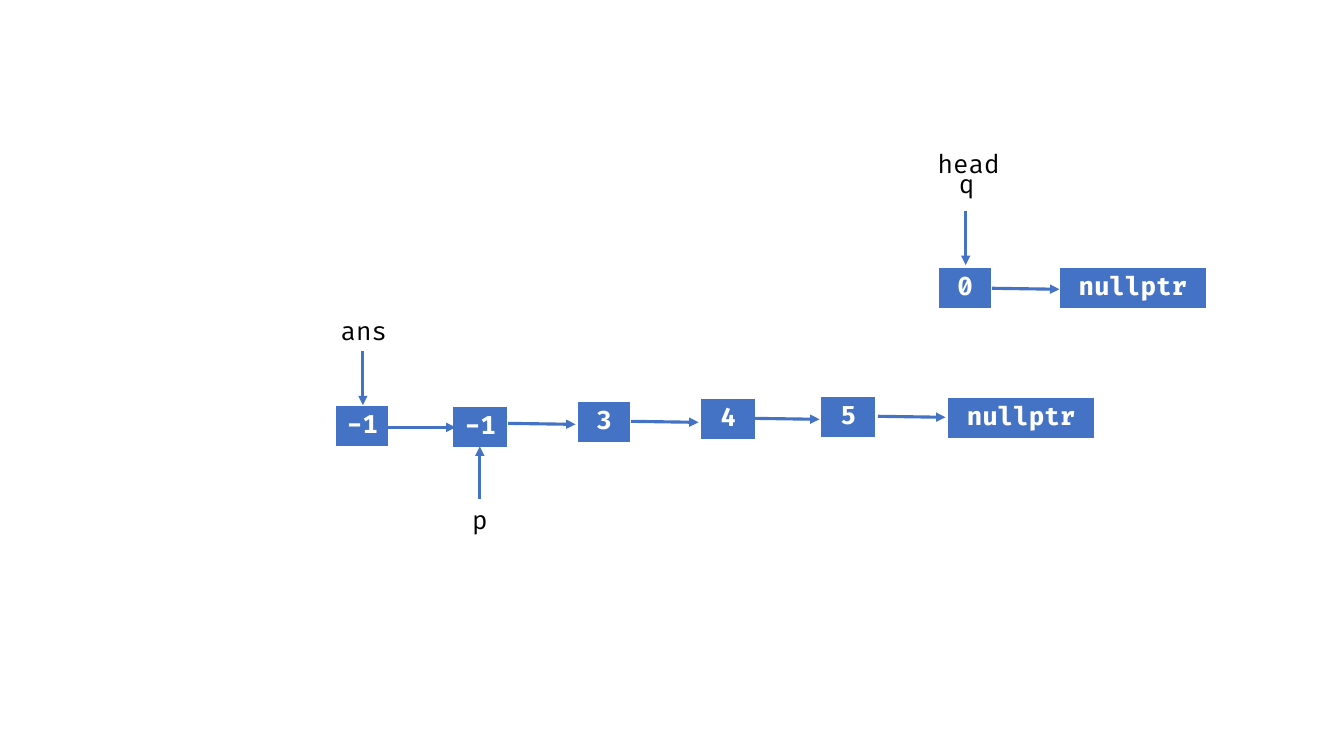
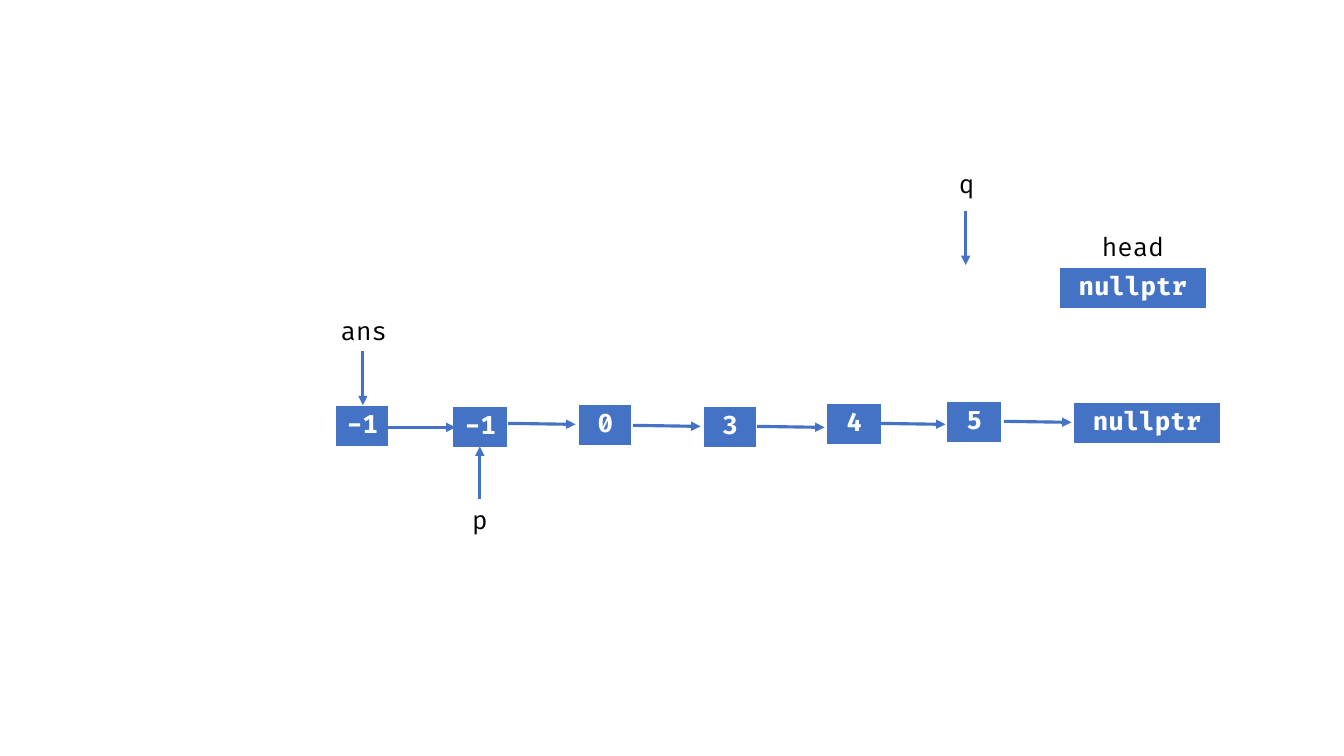
from dataclasses import dataclass

from lxml import etree
from pptx import Presentation
from pptx.dml.color import RGBColor
from pptx.enum.shapes import MSO_CONNECTOR
from pptx.enum.text import MSO_AUTO_SIZE as AutoSize, PP_ALIGN
from pptx.oxml import parse_xml
from pptx.oxml.ns import nsdecls, qn
from pptx.slide import Slide
from pptx.util import Inches, Pt

BLUE = RGBColor(0x44, 0x72, 0xC4)
WHITE = RGBColor(0xFF, 0xFF, 0xFF)
BLACK = RGBColor(0, 0, 0)
FONT, SIZE = "Fira Code", Pt(18)

# Grid columns and rows are a tenth of an inch; every length below counts them
UNIT = Inches(0.1)
COLS, ROWS = 133.33, 75
NODE_H = 4.2
NEXT_W, NEXT_DROP = 6.7, 0.1
BORDERS = {"lnL": 1, "lnR": 1, "lnT": 1, "lnB": 3}


@dataclass(frozen=True)
class Node:
    text: str
    col: float
    row: float
    width: float = 5.5


@dataclass(frozen=True)
class Label:
    text: str
    col: float
    row: float
    width: float = 8
    height: float = 4


@dataclass(frozen=True)
class Arrow:
    col: float
    row: float
    across: float = NEXT_W
    down: float = NEXT_DROP


@dataclass(frozen=True)
class Step:
    """What changes between slides: tail offset, moving node, head label."""
    tail_shift: tuple[float, float]
    zero: Node
    zero_linked: tuple[float, float]
    head: Label


# Parts that stay in place
FIXED_NODES = [Node("-1", 44.9, 40.3), Node("-1", 33.3, 40.2, 5.3),
               Node("nullptr", 105.1, 26.5, 14.6)]
FIXED_ARROWS = [Arrow(50.4, 42), Arrow(38.5, 42.4, down=0),
                Arrow(36, 34.8, 0, 5.4), Arrow(47.6, 49.5, 0, -5.2),
                Arrow(95.8, 20.9, 0, 5.4)]
FIXED_LABELS = [Label("ans", 32.1, 30.8, height=4.2), Label("p", 43.6, 49.5),
                Label("q", 91.9, 16.2)]

# The tail of the list, which shifts as a whole
TAIL_NODES = [Node("3", 57.3, 39.8, 5.3), Node("4", 69.5, 39.5),
              Node("5", 81.4, 39.3), Node("nullptr", 94, 39.4, 14.6)]
TAIL_ARROWS = [Arrow(62.6, 41.8), Arrow(74.6, 41.5), Arrow(87.1, 41.3)]

STEPS = [
    Step((0, 0), Node("0", 93.1, 26.5, 5.3), (98.4, 28.6),
         Label("head", 90.2, 14.2, 11.8)),
    Step((12.5, 0.5), Node("0", 57.4, 40.1, 5.3), (62.8, 42.2),
         Label("head", 106.5, 22.5, 11.8)),
]


def grid(n: float) -> int:
    return round(n * UNIT)


def style(p, text: str, color: RGBColor, bold: bool = False) -> None:
    p.text = text
    p.alignment = PP_ALIGN.CENTER
    p.font.name, p.font.size, p.font.bold = FONT, SIZE, bold
    p.font.color.rgb = color


def draw_node(s: Slide, node: Node, dx: float = 0, dy: float = 0) -> None:
    frame = s.shapes.add_table(1, 1, grid(node.col + dx), grid(node.row + dy),
                               grid(node.width), grid(NODE_H))
    cell = frame.table.cell(0, 0)
    cell.fill.solid()
    cell.fill.fore_color.rgb = BLUE
    style(cell.text_frame.paragraphs[0], node.text, WHITE, bold=True)
    # Border lines come before the fill in the cell properties
    props = cell.fill._xPr
    for i, (side, width) in enumerate(BORDERS.items()):
        props.insert(i, parse_xml(
            f'<a:{side} {nsdecls("a")} w="{Pt(width)}"><a:solidFill>'
            f'<a:srgbClr val="{WHITE}"/></a:solidFill></a:{side}>'))


def draw_arrow(s: Slide, arrow: Arrow, dx: float = 0, dy: float = 0) -> None:
    x, y = arrow.col + dx, arrow.row + dy
    line = s.shapes.add_connector(MSO_CONNECTOR.STRAIGHT, grid(x), grid(y),
                                  grid(x + arrow.across), grid(y + arrow.down))
    line.line.color.rgb = BLUE
    line.line.width = Pt(2.25)
    props = line._element.spPr
    etree.SubElement(props.find(qn("a:ln")), qn("a:tailEnd"), type="triangle")
    etree.SubElement(props, qn("a:effectLst"))


def draw_label(s: Slide, label: Label) -> None:
    box = s.shapes.add_textbox(grid(label.col), grid(label.row),
                               grid(label.width), grid(label.height))
    tf = box.text_frame
    tf.word_wrap = True
    tf.auto_size = AutoSize.SHAPE_TO_FIT_TEXT
    style(tf.paragraphs[0], label.text, BLACK)


def draw_step(s: Slide, step: Step) -> None:
    for node in [*FIXED_NODES, step.zero]:
        draw_node(s, node)
    for node in TAIL_NODES:
        draw_node(s, node, *step.tail_shift)
    for arrow in [*FIXED_ARROWS, Arrow(*step.zero_linked)]:
        draw_arrow(s, arrow)
    for arrow in TAIL_ARROWS:
        draw_arrow(s, arrow, *step.tail_shift)
    for label in [*FIXED_LABELS, step.head]:
        draw_label(s, label)


prs = Presentation()
prs.slide_width, prs.slide_height = grid(COLS), grid(ROWS)
blank = prs.slide_layouts[6]
for step in STEPS:
    draw_step(prs.slides.add_slide(blank), step)
prs.save("out.pptx")
